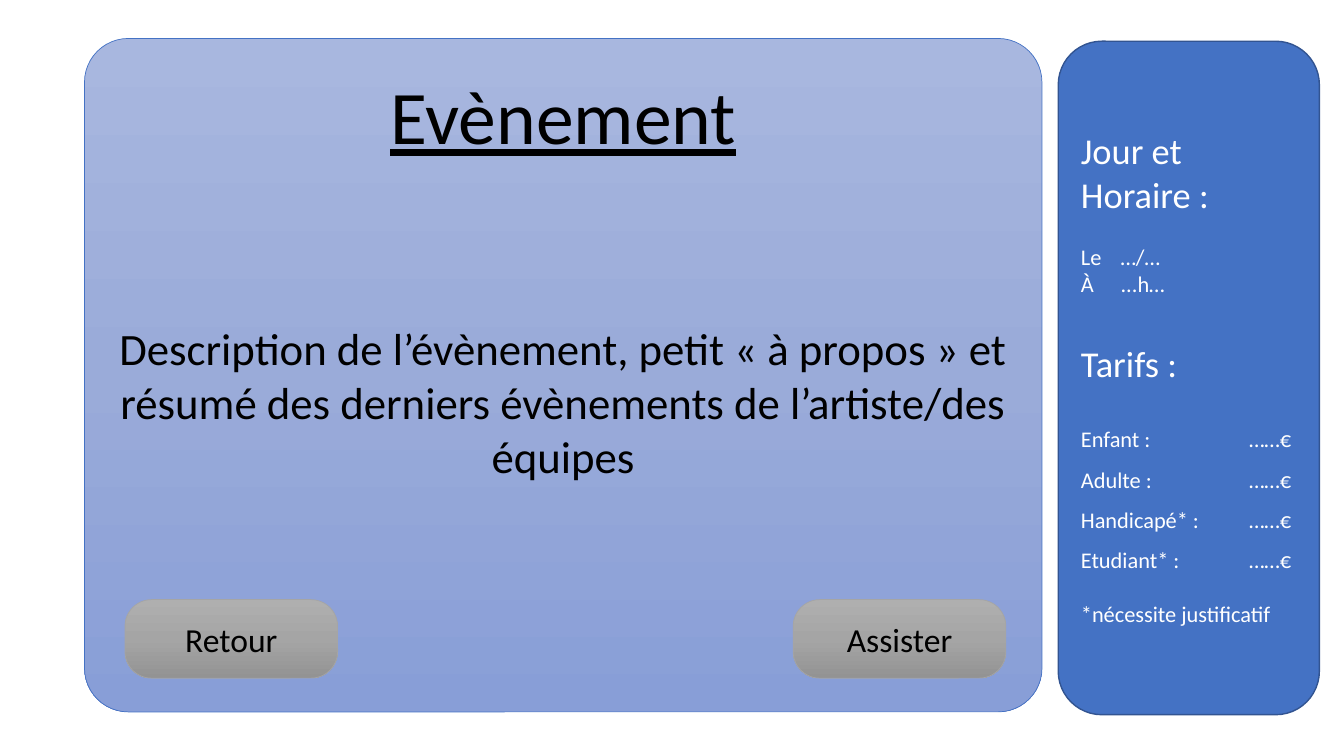
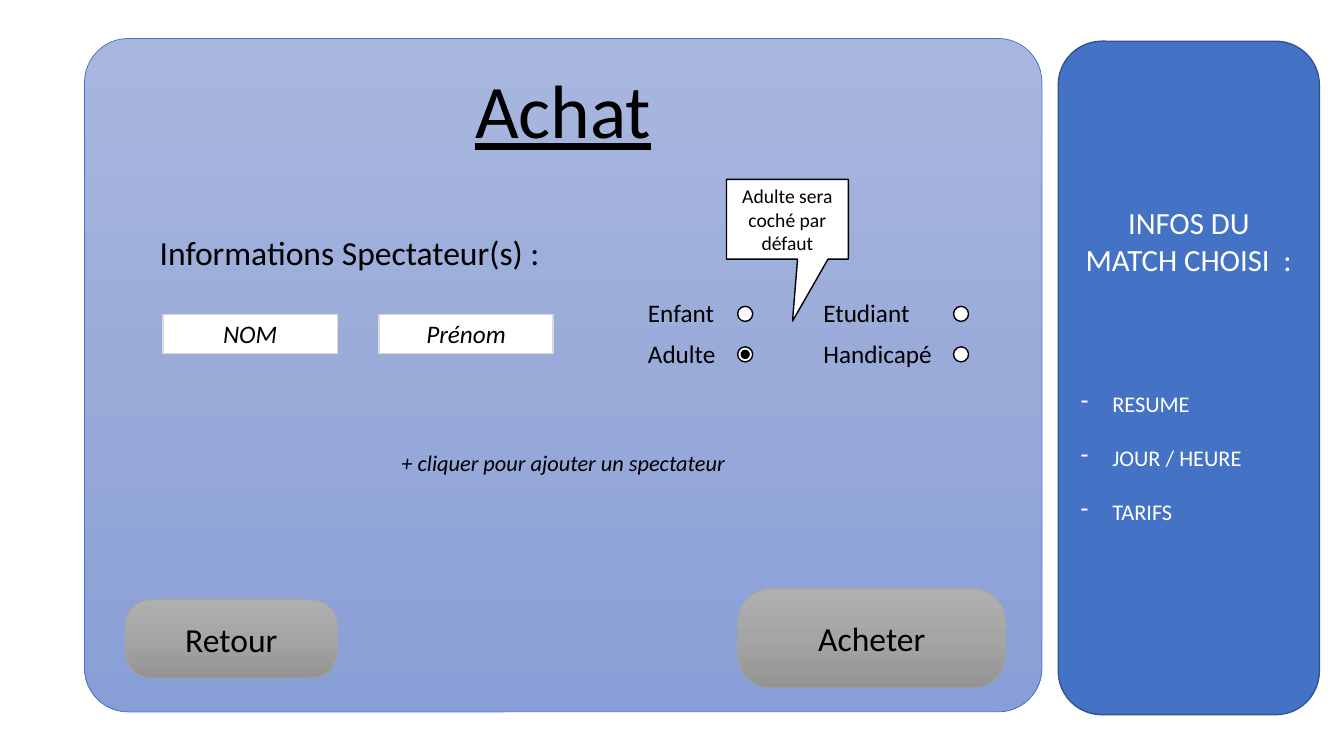
from copy import deepcopy

from lxml import etree
from pptx import Presentation
from pptx.dml.color import RGBColor
from pptx.enum import shapes, text
from pptx.oxml.ns import qn
from pptx.util import Cm, Pt

COLORS = {
    "white": "FFFFFF", "black": "000000", "blue": "4472C4",
    "navy": "325491", "grey": "A5A5A5", "field": "D9D9D9",
}
PANEL_GRADIENT = ("A8B7DF", "9AABD9", "889ED7")
BUTTON_GRADIENT = ("AFAFAF", "A5A5A5", "939393")
FONT = "Calibri"
MAIN_BOX = (2.13, 0.97, 24.13, 16.97)
SIDE_BOX = (26.67, 1.04, 6.58, 16.97)
BACK_BOX = (3.15, 15.11, 5.36, 1.98)
SHAPE = shapes.MSO_SHAPE
LEFT, CENTER = text.PP_ALIGN.LEFT, text.PP_ALIGN.CENTER


def rgb(name):
    return RGBColor.from_string(COLORS[name])


def add_box(slide, kind, box, line, line_width=1, fill="white"):
    shape = slide.shapes.add_shape(kind, *map(Cm, box))
    shape.shadow.inherit = False
    shape.fill.solid()
    shape.fill.fore_color.rgb = rgb(fill)
    shape.line.color.rgb = rgb(line)
    shape.line.width = Pt(line_width)
    shape.text_frame.word_wrap = True
    shape.text_frame.vertical_anchor = text.MSO_ANCHOR.MIDDLE
    return shape


def set_gradient(shape, colors):
    shape.fill.gradient()
    shape.fill.gradient_angle = 270
    first_stop = shape._element.xpath(".//a:gs")[0]
    first_stop.addnext(deepcopy(first_stop))
    for index, (stop, color) in enumerate(zip(shape.fill.gradient_stops, colors)):
        stop.position = index / 2
        stop.color.rgb = RGBColor.from_string(color)


def write(shape, content, size, color="black", align=CENTER, before=0,
          italic=False, underline=False, spacing=None):
    frame = shape.text_frame
    paragraph = frame.paragraphs[0] if not frame.text else frame.add_paragraph()
    paragraph.text = content
    paragraph.alignment = align
    paragraph.space_before = Pt(before)
    if spacing:
        paragraph.line_spacing = spacing
    for run in paragraph.runs:
        run.font.name = FONT
        run.font.size = Pt(size)
        run.font.color.rgb = rgb(color)
        run.font.italic = italic
        run.font.underline = underline
    return paragraph


def add_tab(paragraph, position, align):
    tabs = etree.SubElement(paragraph._p.get_or_add_pPr(), qn("a:tabLst"))
    etree.SubElement(tabs, qn("a:tab"), pos=str(Cm(position)), algn=align)


def add_dash(paragraph, indent):
    properties = paragraph._p.get_or_add_pPr()
    properties.set("marL", str(Cm(indent)))
    properties.set("indent", str(-Cm(indent)))
    etree.SubElement(properties, qn("a:buChar"), char="-")


def add_main_panel(slide, box, title, top_inset):
    panel = add_box(slide, SHAPE.ROUNDED_RECTANGLE, box, "blue", 0.5)
    panel.adjustments[0] = 0.065
    set_gradient(panel, PANEL_GRADIENT)
    panel.text_frame.vertical_anchor = text.MSO_ANCHOR.TOP
    panel.text_frame.margin_top = Cm(top_inset)
    write(panel, title, 54, underline=True)
    return panel


def add_side_panel(slide, box):
    return add_box(slide, SHAPE.ROUNDED_RECTANGLE, box, "navy", fill="blue")


def add_button(slide, box, label):
    button = add_box(slide, SHAPE.ROUNDED_RECTANGLE, box, "grey", 0.5)
    button.adjustments[0] = 0.339
    set_gradient(button, BUTTON_GRADIENT)
    write(button, label, 24)


def add_schedule_and_prices(slide, box):
    panel = add_side_panel(slide, box)
    style = {"color": "white", "align": LEFT}
    write(panel, "Jour et Horaire :", 26, **style)
    for content, before in (("Le\t…/…", 19.5), ("À\t...h…", 0)):
        add_tab(write(panel, content, 16, before=before, **style), 1, "l")
    write(panel, "Tarifs :", 26, before=31.7, **style)
    for index, visitor in enumerate(("Enfant", "Adulte", "Handicapé*", "Etudiant*")):
        price = write(panel, f"{visitor} :\t……€", 16, spacing=1.5,
                      before=0 if index else 19.5, **style)
        add_tab(price, 5.3, "r")
    write(panel, "*nécessite justificatif", 16, before=19.5, **style)


def add_match_summary(slide, box):
    panel = add_side_panel(slide, box)
    panel.text_frame.margin_bottom = Cm(0.82)
    write(panel, "INFOS DU MATCH CHOISI  :", 22, "white")
    for index, topic in enumerate(("RESUME", "JOUR / HEURE", "TARIFS")):
        before = 19.5 if index else 80.5
        add_dash(write(panel, topic, 16, "white", LEFT, before), 0.79)


def add_name_fields(slide, box):
    left, top, width, height = box
    for index, label in enumerate(("NOM", "Prénom")):
        field = add_box(slide, SHAPE.RECTANGLE,
                        (left + index * 5.44, top, width, height), "field")
        write(field, label, 18, italic=True)


def add_circle(slide, center_x, center_y, diameter, fill):
    box = (center_x - diameter / 2, center_y - diameter / 2, diameter, diameter)
    add_box(slide, SHAPE.OVAL, box, "black", fill=fill)


def add_rate_choices(slide, left, top):
    row_height = 1.02
    columns = (
        (0, 2.7, ("Enfant", "Adulte")),
        (4.42, 3.72, ("Etudiant", "Handicapé")),
    )
    for offset, radio_offset, labels in columns:
        for row, label in enumerate(labels):
            x, y = left + offset, top + row * row_height
            caption = slide.shapes.add_textbox(*map(Cm, (x, y, 3.5, row_height)))
            caption.text_frame.word_wrap = True
            write(caption, label, 18, align=LEFT)
            center = (x + radio_offset, y + 0.54)
            add_circle(slide, *center, 0.38, "white")
            if label == "Adulte":
                add_circle(slide, *center, 0.2, "black")


def add_callout(slide, box, message):
    callout = add_box(slide, SHAPE.RECTANGULAR_CALLOUT, box, "black")
    callout.adjustments[0] = 0.042
    callout.adjustments[1] = 1.278
    write(callout, message, 14)


def build_event_slide(slide):
    panel = add_main_panel(slide, MAIN_BOX, "Evènement", 0.45)
    write(panel, "Description de l’évènement, petit «\u00a0à propos\u00a0» et résumé "
          "des derniers évènements de l’artiste/des équipes", 32, before=115)
    add_schedule_and_prices(slide, SIDE_BOX)
    add_button(slide, BACK_BOX, "Retour")
    add_button(slide, (19.99, *BACK_BOX[1:]), "Assister")


def build_purchase_slide(slide):
    panel = add_main_panel(slide, MAIN_BOX, "Achat", 0.3)
    heading = write(panel, "Informations Spectateur(s) :", 24, align=LEFT, before=56)
    heading._p.get_or_add_pPr().set("marL", str(Cm(1.32)))
    write(panel, "+ cliquer pour ajouter un spectateur", 16, before=126, italic=True)
    add_match_summary(slide, SIDE_BOX)
    add_button(slide, BACK_BOX, "Retour")
    add_button(slide, (18.59, 14.83, 6.76, 2.51), "Acheter")
    add_name_fields(slide, (4.11, 7.92, 4.39, 0.99))
    add_rate_choices(slide, 16.08, 7.37)
    add_callout(slide, (18.31, 4.52, 3.07, 2.01), "Adulte sera coché par défaut")


def main():
    presentation = Presentation()
    presentation.slide_width = Cm(33.87)
    presentation.slide_height = Cm(19.05)
    for build in (build_event_slide, build_purchase_slide):
        build(presentation.slides.add_slide(presentation.slide_layouts[6]))
    presentation.save("out.pptx")


if __name__ == "__main__":
    main()
